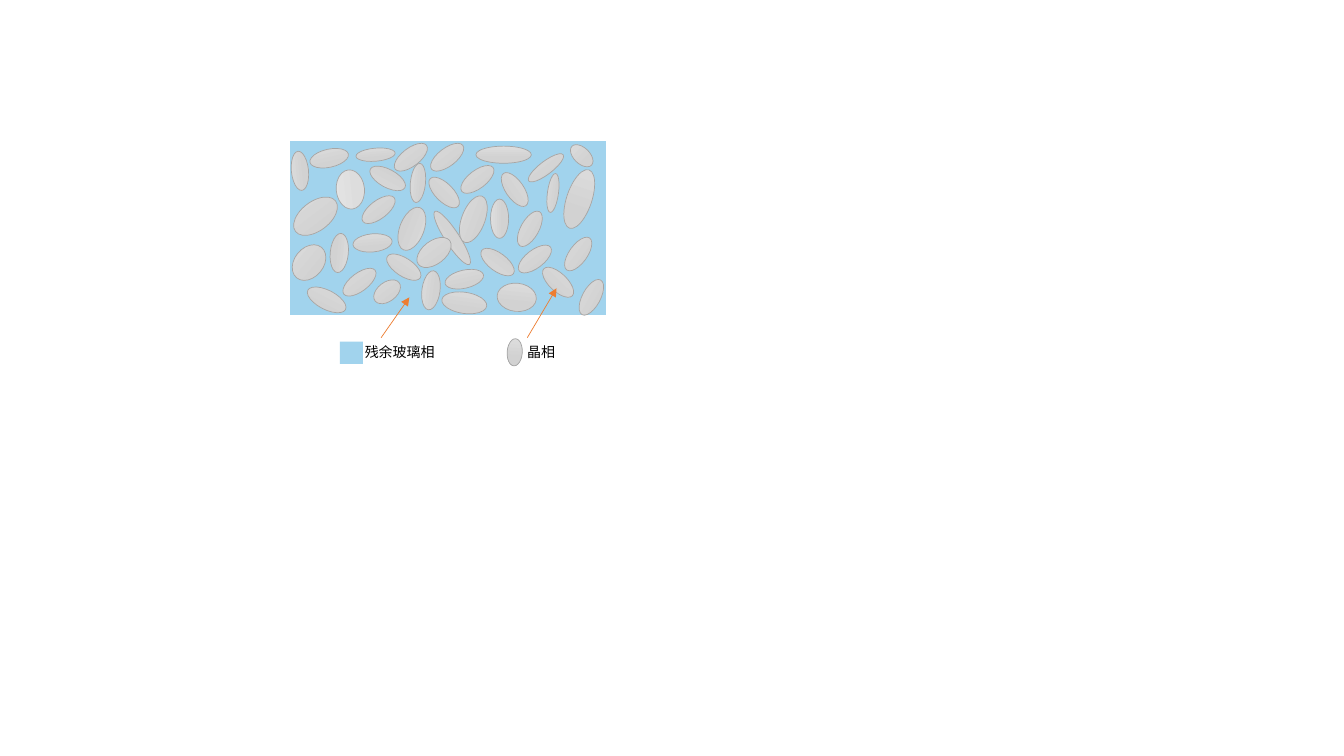
from dataclasses import dataclass

from lxml.etree import SubElement
from pptx import Presentation
from pptx.dml.color import RGBColor as Rgb
from pptx.enum.shapes import MSO_CONNECTOR as Link, MSO_SHAPE as Preset
from pptx.enum.text import MSO_AUTO_SIZE as Fit
from pptx.oxml.ns import qn
from pptx.util import Inches, Pt


@dataclass(frozen=True)
class Theme:
    glass: str = "A1D3ED"
    crystal: tuple = ("DDDDDD", "D2D2D2")
    pale_crystal: tuple = ("E5E5E5", "DDDDDD")
    crystal_edge: str = "A5A5A5"
    slab_edge: str = "FFFFFF"
    arrow: str = "ED7D31"
    ink: str = "000000"
    font: str = "Noto Sans CJK SC"
    label_size: float = 10
    thin: float = 0.5
    thick: float = 1.5


THEME = Theme()
PAGE_WIDTH, PAGE_HEIGHT = 13.33, 7.5
COLUMNS, ROWS = 1333, 750

SLAB = (287, 139, 315, 175)
PALE_CRYSTAL = (328, 174, 39, 28)
PALE_TURN = 264.3

# (width, height): [(left, top, turn), ...]
CRYSTALS = {
    (63, 14): [(417, 229, 236.9)],
    (39, 15): [(395, 174, 275.9)],
    (39, 18): [
        (356, 199, 322.7), (317, 242, 95.5), (337, 271, 322.7),
        (408, 279, 277.6), (365, 168, 208.4), (441, 268, 347.1),
        (476, 208, 270), (506, 218, 299.3), (511, 248, 322.7),
        (454, 169, 322.7), (381, 256, 33.2), (350, 232, 354.7),
        (307, 148, 347.7), (421, 182, 45.1), (424, 147, 322.7),
        (474, 251, 216.4), (491, 179, 55.3), (534, 271, 43.4),
        (554, 243, 305.7), (388, 147, 322.7), (567, 286, 298.2),
    ],
    (45, 24): [(386, 215, 111.2)],
    (39, 17): [(278, 161, 264.4)],
    (50, 29): [(288, 200, 322.7)],
    (43, 13): [(520, 160, 322.7)],
    (42, 19): [(303, 288, 27.2)],
    (39, 29): [(287, 246, 309.1)],
    (39, 13): [(353, 147, 355.1)],
    (30, 19): [(369, 280, 322.7)],
    (49, 23): [(445, 206, 290.8)],
    (39, 23): [(411, 239, 322.7)],
    (25, 61): [(562, 167, 18.5)],
    (39, 28): [(493, 281, 5.9)],
    (55, 17): [(472, 145, 0)],
    (39, 11): [(529, 186, 277.9)],
    (16, 27): [(569, 141, 313.9)],
    (45, 21): [(438, 290, 8.3)],
}

ARROWS = [((378, 335), (406, 295)), ((523, 335), (552, 286))]


def grid(*cells):
    steps = (PAGE_WIDTH / COLUMNS, PAGE_HEIGHT / ROWS)
    return [Inches(cell * steps[i % 2]) for i, cell in enumerate(cells)]


def apply_format(target, values):
    for name, value in values.items():
        setattr(target, name, value)


def set_line(line, color, width):
    line.color.rgb = Rgb.from_string(color)
    line.width = Pt(width)


def add_glass(shapes, area, edge=None):
    glass = shapes.add_shape(Preset.RECTANGLE, *grid(*area))
    glass.shadow.inherit = False
    glass.fill.solid()
    glass.fill.fore_color.rgb = Rgb.from_string(THEME.glass)
    if edge:
        set_line(glass.line, edge, THEME.thick)
    else:
        glass.line.fill.background()


def add_crystal(shapes, area, turn, shades=THEME.crystal):
    crystal = shapes.add_shape(Preset.OVAL, *grid(*area))
    crystal.rotation = turn
    crystal.shadow.inherit = False
    crystal.fill.gradient()
    crystal.fill.gradient_angle = 270
    for stop, shade, position in zip(crystal.fill.gradient_stops, shades, (0, 0.7)):
        stop.color.rgb = Rgb.from_string(shade)
        stop.position = position
    set_line(crystal.line, THEME.crystal_edge, THEME.thin)


def add_arrow(shapes, start, end):
    arrow = shapes.add_connector(Link.STRAIGHT, *grid(*start, *end))
    set_line(arrow.line, THEME.arrow, THEME.thin)
    SubElement(arrow.line._get_or_add_ln(), qn("a:tailEnd"), type="triangle")
    SubElement(arrow._element.spPr, qn("a:effectLst"))


def add_label(shapes, area, text):
    box = shapes.add_textbox(*grid(*area))
    apply_format(box.text_frame, {"word_wrap": False, "auto_size": Fit.SHAPE_TO_FIT_TEXT})
    span = box.text_frame.paragraphs[0].add_run()
    span.text = text
    apply_format(span.font, {"name": THEME.font, "size": Pt(THEME.label_size)})
    span.font.color.rgb = Rgb.from_string(THEME.ink)
    SubElement(span.font._element, qn("a:ea"), typeface=THEME.font)


def add_legend(shapes):
    glass_key = shapes.add_group_shape().shapes
    add_glass(glass_key, (337, 339, 23, 22))
    add_label(glass_key, (352, 336, 90, 27), "残余玻璃相")
    crystal_key = shapes.add_group_shape().shapes
    add_crystal(crystal_key, (503, 336, 15, 27), 3.7)
    add_label(crystal_key, (513, 336, 48, 27), "晶相")


def main():
    deck = Presentation()
    apply_format(deck, {"slide_width": Inches(PAGE_WIDTH), "slide_height": Inches(PAGE_HEIGHT)})
    page = deck.slides.add_slide(deck.slide_layouts[6])
    add_glass(page.shapes, SLAB, THEME.slab_edge)
    add_crystal(page.shapes, PALE_CRYSTAL, PALE_TURN, THEME.pale_crystal)
    for size, places in CRYSTALS.items():
        for left, top, turn in places:
            add_crystal(page.shapes, (left, top, *size), turn)
    for start, end in ARROWS:
        add_arrow(page.shapes, start, end)
    add_legend(page.shapes)
    deck.save("out.pptx")


if __name__ == "__main__":
    main()
